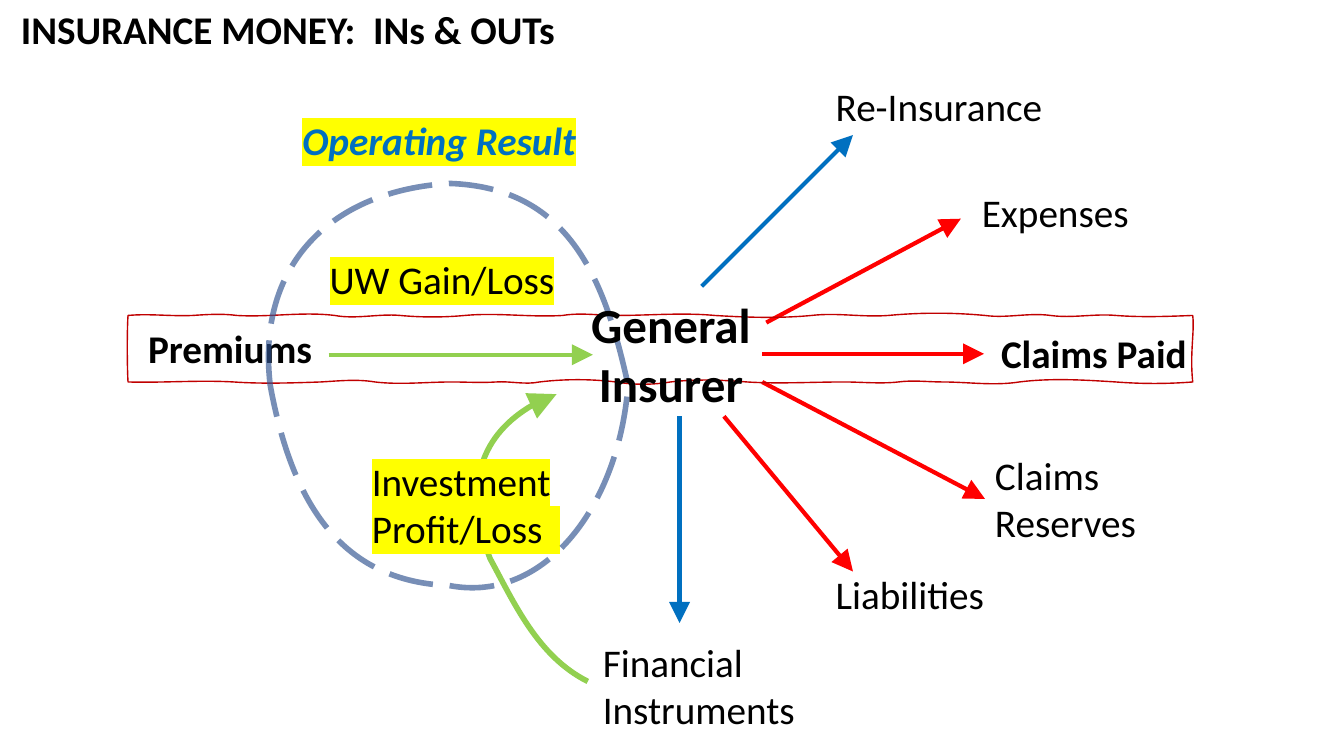
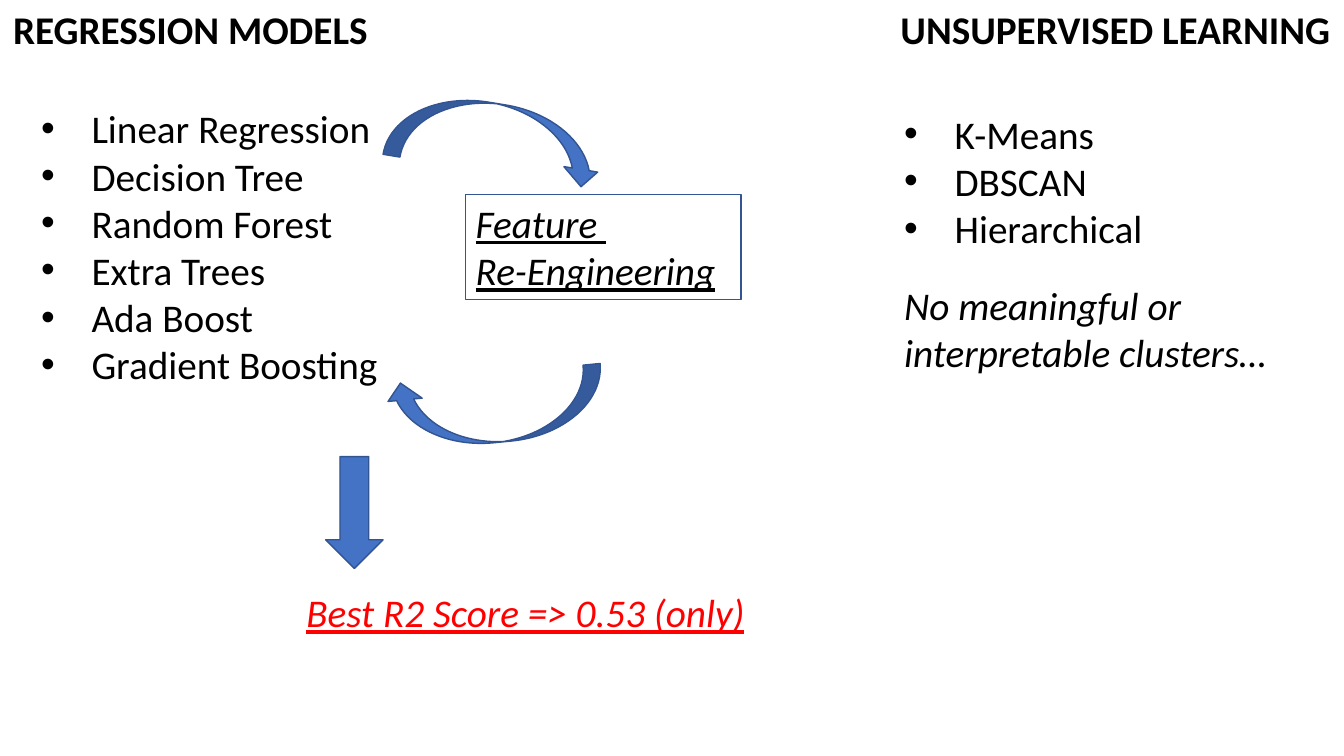
from itertools import pairwise
from math import cos, radians, sin
from typing import NamedTuple

from pptx import Presentation
from pptx.dml.color import RGBColor
from pptx.enum.dml import MSO_LINE
from pptx.enum.shapes import MSO_CONNECTOR, MSO_SHAPE
from pptx.enum.text import MSO_ANCHOR, MSO_AUTO_SIZE, PP_ALIGN
from pptx.oxml.ns import qn
from pptx.util import Inches, Pt
from lxml import etree

LEFT, CENTER, RIGHT = PP_ALIGN.LEFT, PP_ALIGN.CENTER, PP_ALIGN.RIGHT
JUSTIFY = PP_ALIGN.JUSTIFY
TOP = MSO_ANCHOR.TOP
FIXED = MSO_AUTO_SIZE.NONE
STRAIGHT = MSO_CONNECTOR.STRAIGHT
LONG_DASH = MSO_LINE.LONG_DASH
RECTANGLE = MSO_SHAPE.RECTANGLE
CURVED_ARROW, DOWN_ARROW = MSO_SHAPE.CURVED_LEFT_ARROW, MSO_SHAPE.DOWN_ARROW

# Shared style
FONT = "Calibri"
BLACK, RED, BLUE, GREEN = "000000", "FF0000", "0070C0", "92D050"
YELLOW, DARK_RED = "FFFF00", "C00000"
ARROW_BLUE, EDGE_BLUE = "4472C4", "325491"
LINE_HEIGHT = 0.57
TWO_LINES = 1.04

Point = tuple[float, float]


class Label(NamedTuple):
    text: str
    left: float
    top: float
    width: float
    height: float = LINE_HEIGHT
    style: dict = {}


class Arrow(NamedTuple):
    start: Point
    end: Point
    color: str


class Curve(NamedTuple):
    first: Point
    second: Point
    end: Point


class Frame(NamedTuple):
    left: float
    top: float
    width: float
    height: float
    rotation: float = 0


class Wave(NamedTuple):
    """End of one ripple, and how far its two control points leave the edge."""
    x: float
    first: float
    second: float


class BlockArrow(NamedTuple):
    kind: int
    left: float
    top: float
    width: float
    height: float
    rotation: float = 0


# Drawing functions
def rgb(color: str) -> RGBColor:
    return RGBColor.from_string(color)


def write(shape, text: str, *, size=28, color=BLACK, bold=False, italic=False,
          underline=False, highlight="", align=LEFT, bullets=False) -> None:
    """Fill a shape with text, one paragraph for each line."""
    frame = shape.text_frame
    frame.word_wrap = True
    frame.auto_size = FIXED
    frame.vertical_anchor = TOP
    for index, words in enumerate(text.split("\n")):
        para = frame.add_paragraph() if index else frame.paragraphs[0]
        para.alignment = align
        if bullets:
            properties = para._p.get_or_add_pPr()
            properties.set("marL", str(Inches(0.5)))
            properties.set("indent", str(Inches(-0.5)))
            etree.SubElement(properties, qn("a:buFont"), typeface="Arial")
            etree.SubElement(properties, qn("a:buChar"), char="•")
        span = para.add_run()
        span.text = words
        font = span.font
        font.name, font.size = FONT, Pt(size)
        font.bold, font.italic, font.underline = bold, italic, underline
        font.color.rgb = rgb(color)
        if highlight:
            marker = etree.Element(qn("a:highlight"))
            etree.SubElement(marker, qn("a:srgbClr"), val=highlight)
            span._r.rPr.find(qn("a:latin")).addprevious(marker)


def place(shape, area: Label | Frame) -> None:
    shape.left, shape.top = Inches(area.left), Inches(area.top)
    shape.width, shape.height = Inches(area.width), Inches(area.height)


def add_page(deck, title: Label):
    page = deck.slides.add_slide(deck.slide_layouts[5])
    place(page.shapes.title, title)
    write(page.shapes.title, title.text, bold=True, **title.style)
    return page


def add_label(page, label: Label) -> None:
    box = page.shapes.add_textbox(0, 0, 0, 0)
    place(box, label)
    write(box, label.text, **label.style)


def add_arrowhead(shape) -> None:
    etree.SubElement(shape.line._get_or_add_ln(), qn("a:tailEnd"),
                     type="triangle", w="lg", len="lg")


def set_line(shape, color: str, width: float) -> None:
    shape.line.color.rgb = rgb(color)
    shape.line.width = Pt(width)


def add_arrow(page, arrow: Arrow) -> None:
    ends = (Inches(value) for value in (*arrow.start, *arrow.end))
    connector = page.shapes.add_connector(STRAIGHT, *ends)
    set_line(connector, arrow.color, 3)
    add_arrowhead(connector)
    etree.SubElement(connector._element.spPr, qn("a:effectLst"))


def turn_back(point: Point, frame: Frame) -> Point:
    """Where a point lies before its frame is rotated."""
    middle_x, middle_y = frame.left + frame.width / 2, frame.top + frame.height / 2
    across, down = point[0] - middle_x, point[1] - middle_y
    angle = radians(-frame.rotation)
    return (middle_x + across * cos(angle) - down * sin(angle),
            middle_y + across * sin(angle) + down * cos(angle))


def add_outline(page, start: Point, curves: list[Curve], frame: Frame,
                color: str, width: float, closed=True):
    """Draw cubic curves inside a frame that may be rotated."""
    begin = turn_back(start, frame)
    bends = [[turn_back(point, frame) for point in curve] for curve in curves]
    builder = page.shapes.build_freeform(Inches(begin[0]), Inches(begin[1]))
    builder.add_line_segments([(Inches(bend[-1][0]), Inches(bend[-1][1]))
                               for bend in bends], close=closed)
    shape = builder.convert_to_shape()
    place(shape, frame)
    shape.rotation = frame.rotation

    outline = shape._element.spPr.find(".//" + qn("a:path"))
    outline.set("w", str(shape.width))
    outline.set("h", str(shape.height))

    def locate(node, point: Point) -> None:
        node.set("x", str(Inches(point[0] - frame.left)))
        node.set("y", str(Inches(point[1] - frame.top)))

    locate(outline.find(qn("a:moveTo")).find(qn("a:pt")), begin)
    for segment, bend in zip(outline.findall(qn("a:lnTo")), bends):
        cubic = etree.Element(qn("a:cubicBezTo"))
        for point in bend:
            locate(etree.SubElement(cubic, qn("a:pt")), point)
        outline.replace(segment, cubic)

    shape.shadow.inherit = False
    shape.fill.background()
    set_line(shape, color, width)
    return shape


def wavy_edge(y: float, start: float, waves: list[Wave]) -> list[Curve]:
    """Ripples along a level edge, with controls at thirds of each one."""
    curves = []
    for before, wave in pairwise([Wave(start, 0, 0), *waves]):
        third = (wave.x - before.x) / 3
        curves.append(Curve((before.x + third, y + wave.first),
                            (wave.x - third, y + wave.second), (wave.x, y)))
    return curves


def add_block(page, block: BlockArrow) -> None:
    shape = page.shapes.add_shape(block.kind, *(Inches(value) for value in block[1:5]))
    shape.rotation = block.rotation
    shape.shadow.inherit = False
    shape.fill.solid()
    shape.fill.fore_color.rgb = rgb(ARROW_BLUE)
    set_line(shape, EDGE_BLUE, 1)


# Content of the money flow slide
BOLD = {"bold": True}
MARKED = {"highlight": YELLOW}
FLOW_LABELS = [
    Label("Premiums", 1.37, 3.17, 1.89, style=BOLD),
    Label("Re-Insurance", 8.19, 0.77, 2.31),
    Label("Expenses", 9.64, 1.82, 2.31),
    Label("Claims Paid", 9.83, 3.22, 2.31, style=BOLD),
    Label("Claims Reserves", 9.77, 4.43, 2.31, TWO_LINES),
    Label("Liabilities", 8.19, 5.61, 2.31),
    Label("Financial Instruments", 5.88, 6.28, 2.31, TWO_LINES),
]
RESULT_LABELS = [
    Label("UW Gain/Loss", 3.17, 2.48, 2.62, style=MARKED),
    Label("Investment Profit/Loss  ", 3.59, 4.49, 2.62, TWO_LINES, MARKED),
]
FRONT_LABELS = [
    Label("Operating Result", 2.9, 1.1, 3.44,
          style={"color": BLUE, "bold": True, "italic": True, "highlight": YELLOW}),
    Label("General Insurer", 5.71, 2.87, 1.89, 1.28,
          {"size": 35, "bold": True, "align": CENTER}),
]
FLOW_ARROWS = [
    Arrow((3.26, 3.52), (5.88, 3.52), GREEN),
    Arrow((6.96, 2.84), (8.46, 1.34), BLUE),
    Arrow((7.6, 3.2), (9.53, 2.17), RED),
    Arrow((7.56, 3.51), (9.76, 3.51), RED),
    Arrow((7.56, 3.79), (9.77, 4.95), RED),
    Arrow((7.18, 4.13), (8.46, 5.67), RED),
    Arrow((6.74, 4.13), (6.74, 6.18), BLUE),
]
BAND_FRAME = Frame(1.27, 3.13, 10.56, 0.66)
BAND_LEFT, BAND_RIGHT, BAND_TOP, BAND_BOTTOM = 1.27, 11.83, 3.13, 3.79
TOP_WAVES = [
    Wave(1.91, -0.02, 0.01), Wave(2.35, -0.01, -0.02), Wave(3.32, 0.02, -0.04),
    Wave(3.97, 0.04, -0.02), Wave(4.61, 0.02, 0.02), Wave(5.58, -0.03, 0.02),
    Wave(6.12, -0.03, 0), Wave(7.09, 0, -0.03), Wave(8.05, 0.02, 0.03),
    Wave(8.81, -0.03, 0.02), Wave(9.77, -0.03, -0.03), Wave(10.42, 0.03, -0.03),
    Wave(11.07, 0.03, -0.02), Wave(BAND_RIGHT, 0.02, 0.01),
]
BOTTOM_WAVES = [
    Wave(11.07, 0.02, 0.02), Wave(10.11, -0.02, -0.04), Wave(9.35, 0.04, 0),
    Wave(8.91, 0, -0.02), Wave(8.37, 0.02, 0), Wave(7.41, 0, 0.02),
    Wave(6.65, -0.02, -0.03), Wave(6.11, 0.03, 0.03), Wave(5.35, -0.03, -0.03),
    Wave(4.92, 0.03, -0.01), Wave(4.48, 0.01, 0), Wave(3.72, 0, 0.03),
    Wave(3.18, -0.03, -0.01), Wave(2.32, 0.01, 0.02), Wave(BAND_LEFT, -0.02, 0.01),
]
BAND = [*wavy_edge(BAND_TOP, BAND_LEFT, TOP_WAVES),
        Curve((11.85, 3.29), (11.8, 3.5), (BAND_RIGHT, BAND_BOTTOM)),
        *wavy_edge(BAND_BOTTOM, BAND_RIGHT, BOTTOM_WAVES),
        Curve((1.26, 3.62), (1.26, 3.27), (BAND_LEFT, BAND_TOP))]
RETURN_FRAME = Frame(4.59, 4.02, 4.19, 3.01, 214.5)
RETURN_FLOW = [Curve((5.33, 6.51), (5.1, 5.98), (4.86, 5.54)),
               Curve((4.58, 4.78), (4.85, 4.14), (5.52, 3.91))]
RING_FRAME = Frame(2.68, 1.82, 3.56, 4)
RESULT_RING = [Curve((2.54, 2.62), (3.29, 1.89), (4.46, 1.82)),
               Curve((5.62, 1.86), (5.99, 2.72), (6.23, 3.82)),
               Curve((6.14, 5.01), (5.41, 5.99), (4.46, 5.81)),
               Curve((3.4, 5.77), (2.9, 5.02), (2.68, 3.82))]

# Content of the models slide
LISTED = {"align": JUSTIFY, "bullets": True}
ACCENT = {"align": JUSTIFY, "italic": True, "underline": True}
MODEL_LABELS = [
    Label("Linear Regression\nDecision Tree\nRandom Forest\nExtra Trees\n"
          "Ada Boost\nGradient Boosting", 0.31, 0.99, 4.6, 2.93, LISTED),
    Label("Best R2 Score => 0.53 (only)", 2.94, 5.79, 4.6, style=ACCENT | {"color": RED}),
    Label("UNSUPERVISED LEARNING", 8.2, 0, 5.09, style={"bold": True, "align": RIGHT}),
    Label("K-Means\nDBSCAN\nHierarchical", 8.87, 1.04, 4.3, 1.51, LISTED),
    Label("No meaningful or interpretable clusters…", 8.87, 2.74, 4.3, TWO_LINES,
          {"italic": True}),
]
FEATURE = Label("Feature \nRe-Engineering", 4.62, 1.93, 2.73, TWO_LINES, ACCENT)
BLOCK_ARROWS = [BlockArrow(CURVED_ARROW, 4.58, 0.29, 0.68, 2.16, 279.3),
                BlockArrow(CURVED_ARROW, 4.57, 2.97, 0.68, 2.16, 84.4),
                BlockArrow(DOWN_ARROW, 3.23, 4.53, 0.57, 1.11)]

deck = Presentation()
deck.slide_width, deck.slide_height = Inches(13.33), Inches(7.5)

# Money flow slide
page = add_page(deck, Label("INSURANCE MONEY:  INs & OUTs", 0, 0, 5.71,
                            style={"align": CENTER}))
for label in FLOW_LABELS:
    add_label(page, label)
for arrow in FLOW_ARROWS:
    add_arrow(page, arrow)
add_outline(page, (BAND_LEFT, BAND_TOP), BAND, BAND_FRAME, DARK_RED, 1)
add_arrowhead(add_outline(page, (5.83, 6.76), RETURN_FLOW, RETURN_FRAME, GREEN, 4,
                          closed=False))
for label in RESULT_LABELS:
    add_label(page, label)
ring = add_outline(page, (2.68, 3.82), RESULT_RING, RING_FRAME, EDGE_BLUE, 4)
ring.line.dash_style = LONG_DASH
ring_color = ring.line._get_or_add_ln().find(".//" + qn("a:srgbClr"))
etree.SubElement(ring_color, qn("a:alpha"), val="66000")
for label in FRONT_LABELS:
    add_label(page, label)

# Models slide
page = add_page(deck, Label("REGRESSION MODELS", 0.03, 0, 4.05, style={"align": LEFT}))
for label in MODEL_LABELS:
    add_label(page, label)
feature_box = page.shapes.add_shape(RECTANGLE, 0, 0, 0, 0)
place(feature_box, FEATURE)
feature_box.shadow.inherit = False
feature_box.fill.background()
set_line(feature_box, EDGE_BLUE, 0.75)
write(feature_box, FEATURE.text, **FEATURE.style)
for block in BLOCK_ARROWS:
    add_block(page, block)

deck.save("out.pptx")
